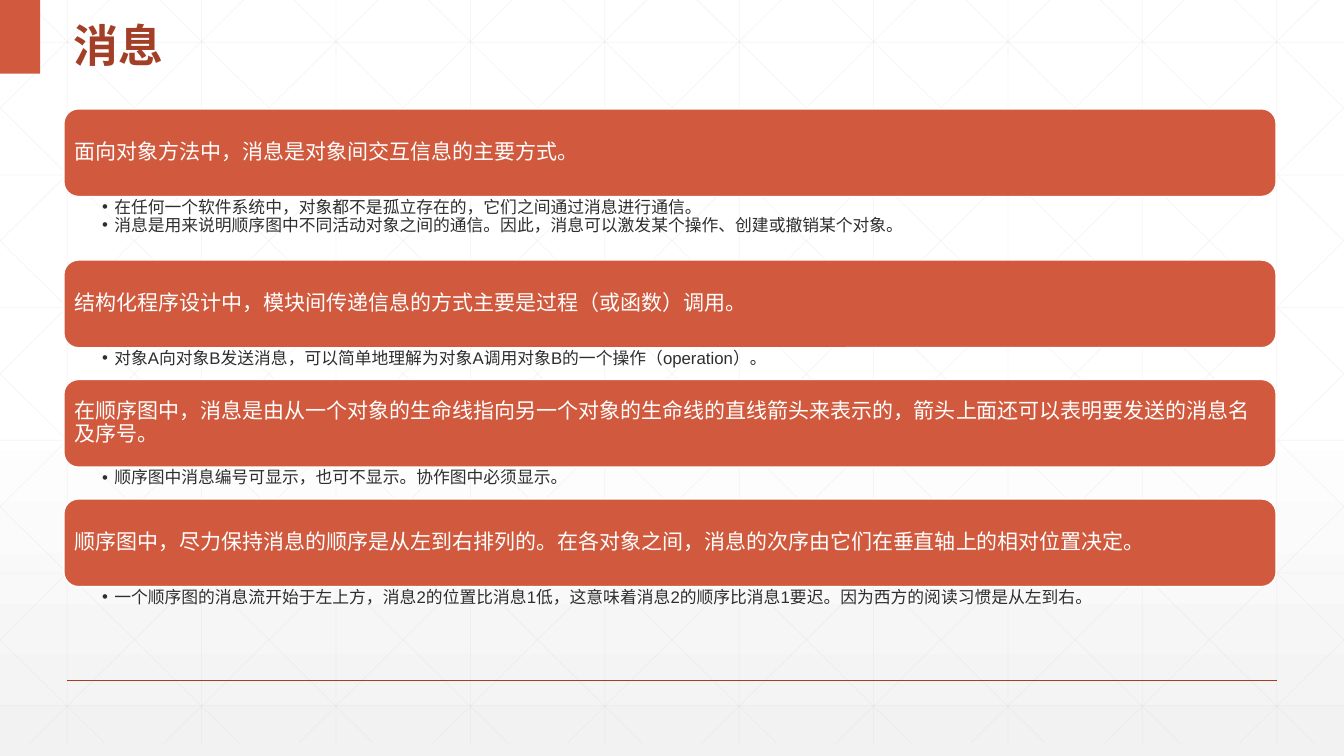
from lxml.etree import SubElement
from pptx import Presentation
from pptx.dml.color import RGBColor
from pptx.enum.shapes import MSO_CONNECTOR, MSO_SHAPE
from pptx.enum.text import MSO_ANCHOR, MSO_AUTO_SIZE, PP_ALIGN
from pptx.oxml.ns import qn
from pptx.util import Inches, Pt

WIDTH, HEIGHT = Inches(13.333), Inches(7.5)
COLORS = {
    "accent": "D15A3E",
    "dark": "A43F27",
    "white": "FFFFFF",
    "shade": "F2F2F2",
    "lattice": "D9D9D9",
    "text": "2D2E2D",
}
CHINESE_FONT = "Noto Sans CJK SC"
TITLE_FONT = {"name": CHINESE_FONT, "size": Pt(32), "bold": True}
BAR_FONT = {"name": "Arial", "size": Pt(15)}
LIST_FONT = {"name": "Arial", "size": Pt(12)}

TOPICS = [
    ("面向对象方法中，消息是对象间交互信息的主要方式。",
     ["在任何一个软件系统中，对象都不是孤立存在的，它们之间通过消息进行通信。",
      "消息是用来说明顺序图中不同活动对象之间的通信。因此，消息可以激发某个操作、创建或撤销某个对象。"]),
    ("结构化程序设计中，模块间传递信息的方式主要是过程（或函数）调用。",
     ["对象A向对象B发送消息，可以简单地理解为对象A调用对象B的一个操作（operation）。"]),
    ("在顺序图中，消息是由从一个对象的生命线指向另一个对象的生命线的直线箭头来表示的，箭头上面还可以表明要发送的消息名及序号。",
     ["顺序图中消息编号可显示，也可不显示。协作图中必须显示。"]),
    ("顺序图中，尽力保持消息的顺序是从左到右排列的。在各对象之间，消息的次序由它们在垂直轴上的相对位置决定。",
     ["一个顺序图的消息流开始于左上方，消息2的位置比消息1低，这意味着消息2的顺序比消息1要迟。因为西方的阅读习惯是从左到右。"]),
]


def color(name):
    return RGBColor.from_string(COLORS[name])


def place(x, y):
    """Turn percentages of the slide's width and height into lengths."""
    return round(WIDTH * x / 100), round(HEIGHT * y / 100)


def set_values(target, values):
    for name, value in values.items():
        setattr(target, name, value)


def set_margins(frame, left, top, right, bottom):
    set_values(frame, {
        "margin_left": Inches(left), "margin_top": Inches(top),
        "margin_right": Inches(right), "margin_bottom": Inches(bottom),
        "word_wrap": True, "auto_size": MSO_AUTO_SIZE.NONE,
    })


def write(para, text, font, color_name, spacing):
    set_values(para, {"alignment": PP_ALIGN.LEFT, "line_spacing": spacing})
    span = para.add_run()
    span.text = text
    set_values(span.font, font)
    span.font.color.rgb = color(color_name)
    SubElement(span.font._element, qn("a:ea"), typeface=CHINESE_FONT)


def add_line(page, start, end, color_name, width, opacity=100):
    line = page.shapes.add_connector(MSO_CONNECTOR.STRAIGHT, *place(*start), *place(*end))
    line.line.width = Pt(width)
    line.line.color.rgb = color(color_name)
    properties = line.element.spPr
    SubElement(properties, qn("a:effectLst"))
    if opacity < 100:
        SubElement(next(properties.iter(qn("a:srgbClr"))), qn("a:alpha"), val=str(opacity * 1000))


def add_block(page, kind, left, top, width, height, line_color=None):
    block = page.shapes.add_shape(kind, *place(left, top), *place(width, height))
    block.shadow.inherit = False
    block.fill.solid()
    block.fill.fore_color.rgb = color("accent")
    if line_color:
        block.line.color.rgb = color(line_color)
        block.line.width = Pt(1)
    else:
        block.line.fill.background()
    return block


def paint_background(page):
    fill = page.background.fill
    fill.gradient()
    fill.gradient_angle = 270
    for stop, position, name in zip(fill.gradient_stops, (0.53, 1), ("white", "shade")):
        stop.position = position
        stop.color.rgb = color(name)


def add_lattice(page, bottom=98.3, pitch=10, run=55.9):
    """Draw columns, rows and mirrored diagonals, cut off at the slide's edges."""
    lines = [((5 + pitch * column, 0), (5 + pitch * column, bottom)) for column in range(10)]
    lines += [((0, 5.6 + 17.55 * row), (100, 5.6 + 17.55 * row)) for row in range(6)]
    for step in range(-5, 10):
        origin = 1.88 + pitch * step
        ends = [(x, (x - origin) / run * bottom)
                for x in (max(0, origin), min(100, origin + run))]
        lines += [ends, [(100 - x, y) for x, y in ends]]
    for start, end in lines:
        add_line(page, start, end, "lattice", 0.5, opacity=25)


def add_heading(page, text, left, height):
    add_block(page, MSO_SHAPE.RECTANGLE, 0, 0, 3, height)
    title = page.shapes.title
    page.shapes.element.append(title.element)
    title.left, title.top = place(left, 0)
    title.width, title.height = place(42.7, height)
    set_margins(title.text_frame, 0.1, 0.05, 0.1, 0.05)
    title.text_frame.vertical_anchor = MSO_ANCHOR.MIDDLE
    write(title.text_frame.paragraphs[0], text, TITLE_FONT, "dark", 1.3)


def add_bar(page, text, left, top, width, height):
    bar = add_block(page, MSO_SHAPE.ROUNDED_RECTANGLE, left, top, width, height, "white")
    set_margins(bar.text_frame, 0.06, 0.06, 0.06, 0.06)
    bar.text_frame.vertical_anchor = MSO_ANCHOR.MIDDLE
    write(bar.text_frame.paragraphs[0], text, BAR_FONT, "white", 0.9)


def add_list(page, items, left, top, width, height):
    box = page.shapes.add_textbox(*place(left, top), *place(width, height))
    frame = box.text_frame
    set_margins(frame, 0.38, 0.02, 0.12, 0.02)
    for index, item in enumerate(items):
        para = frame.add_paragraph() if index else frame.paragraphs[0]
        write(para, item, LIST_FONT, "text", 0.9)
        properties = para._p.get_or_add_pPr()
        properties.set("marL", str(Inches(0.12)))
        properties.set("indent", str(-Inches(0.12)))
        SubElement(properties, qn("a:buFont"), typeface="Arial")
        SubElement(properties, qn("a:buChar"), char="•")


def add_topics(page, topics, left, top, width, bar_height=11.6, item_height=4.2):
    for heading, items in topics:
        add_bar(page, heading, left, top, width, bar_height)
        top += bar_height
        list_height = item_height * len(items)
        add_list(page, items, left, top, width, list_height)
        top += list_height


def main():
    deck = Presentation()
    set_values(deck, {"slide_width": WIDTH, "slide_height": HEIGHT})
    page = deck.slides.add_slide(deck.slide_layouts.get_by_name("Title Only"))
    paint_background(page)
    add_lattice(page)
    add_line(page, (5, 90), (95, 90), "dark", 1)
    add_heading(page, "消息", left=4.75, height=9.75)
    add_topics(page, TOPICS, left=4.75, top=14.4, width=90.2)
    deck.save("out.pptx")


if __name__ == "__main__":
    main()
